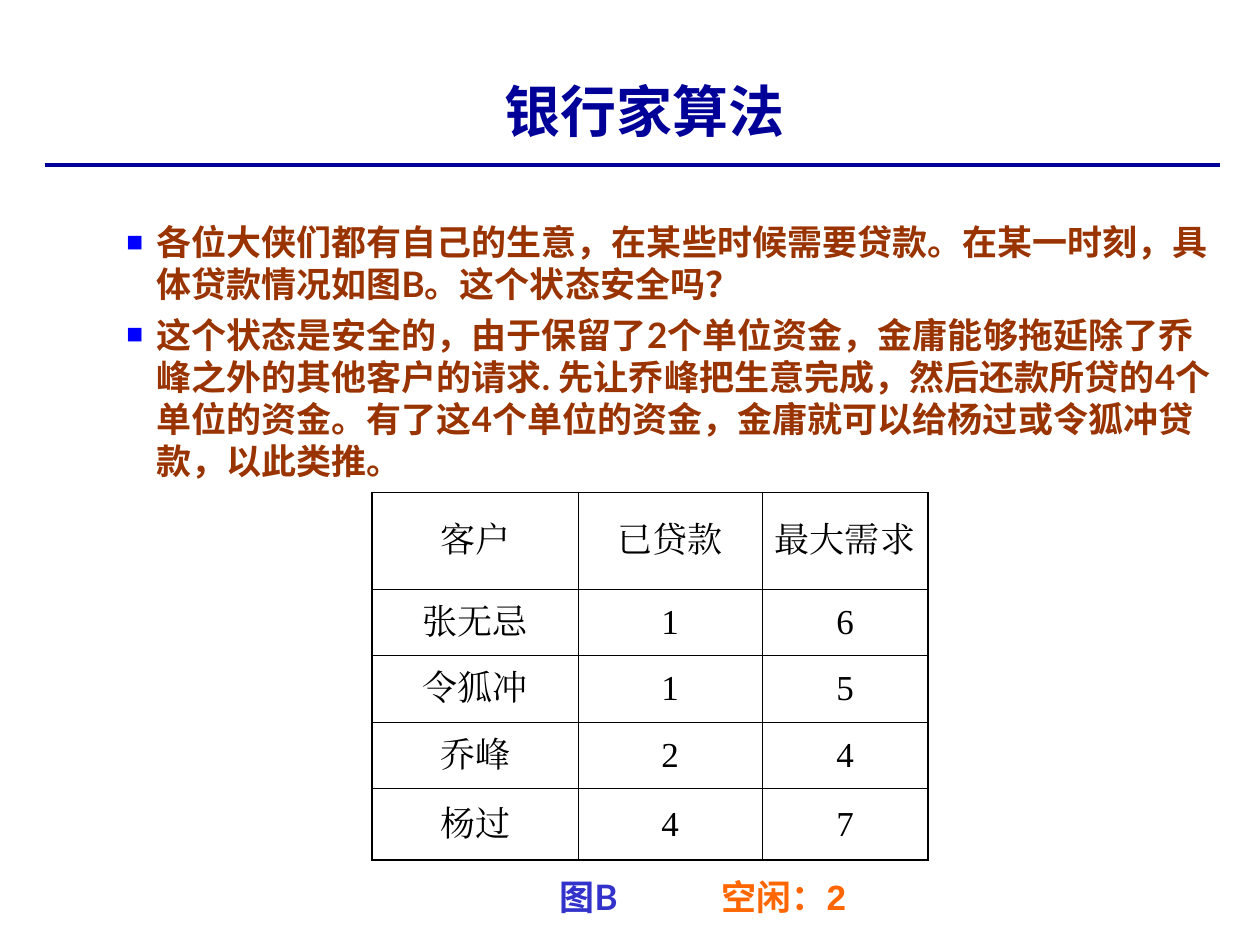
import pptx
import pptx.util
import pptx.dml.color
import pptx.enum.shapes
import pptx.enum.text
import pptx.oxml
import pptx.oxml.ns
from pptx.util import Cm

ALIGN = pptx.enum.text.PP_ALIGN
ANCHOR = pptx.enum.text.MSO_ANCHOR
AUTO = pptx.enum.text.MSO_AUTO_SIZE
NS = 'xmlns:a="http://schemas.openxmlformats.org/drawingml/2006/main"'

TITLE = {"name": "Noto Sans CJK SC", "size": 32, "bold": True, "color": "000099"}
BODY = {"name": "Lato", "size": 20, "bold": True, "color": "993300"}
CELL = {"name": "Times New Roman", "size": 20, "bold": False, "color": "000000"}
FIGURE = {**BODY, "color": "3333CC"}
IDLE = {**BODY, "name": "Arial", "color": "FF6600"}

POINTS = [
    "各位大侠们都有自己的生意，在某些时候需要贷款。在某一时刻，具体贷款情况如图B。这个状态安全吗？",
    "这个状态是安全的，由于保留了2个单位资金，金庸能够拖延除了乔峰之外的其他客户的请求. "
    "先让乔峰把生意完成，然后还款所贷的4个单位的资金。有了这4个单位的资金，"
    "金庸就可以给杨过或令狐冲贷款，以此类推。",
]
LOANS = [
    ["客户", "已贷款", "最大需求"],
    ["张无忌", "1", "6"],
    ["令狐冲", "1", "5"],
    ["乔峰", "2", "4"],
    ["杨过", "4", "7"],
]
COL_WIDTHS = [4.16, 3.7, 3.35]
ROW_HEIGHTS = [1.95, 1.34, 1.34, 1.34, 1.44]


def rgb(value):
    """Return a colour from a hex string."""
    return pptx.dml.color.RGBColor.from_string(value)


def add_xml(parent, body):
    """Append one drawing element, given without its namespace."""
    tag, rest = body[:body.index(" ")], body[body.index(" "):]
    parent.append(pptx.oxml.parse_xml(f"<a:{tag} {NS}{rest}"))


def write(p, text, style, align=ALIGN.LEFT):
    """Write one formatted run in a paragraph."""
    p.alignment = align
    r = p.add_run()
    r.text = text
    values = {**style, "size": pptx.util.Pt(style["size"])}
    color = values.pop("color")
    for key, value in values.items():
        setattr(r.font, key, value)
    r.font.color.rgb = rgb(color)
    add_xml(r.font._element, f'ea typeface="{style["name"]}"/>')


def add_title(s, text):
    """Place and fill the title placeholder."""
    sp = s.shapes.title
    box = {"left": 4.9, "top": 1.32, "width": 16.2, "height": 1.7}
    for key, value in box.items():
        setattr(sp, key, Cm(value))
    sp.text_frame.vertical_anchor = ANCHOR.BOTTOM
    write(sp.text_frame.paragraphs[0], text, TITLE, ALIGN.CENTER)


def add_rule(s, left, right, y):
    """Draw the line below the title."""
    ln = s.shapes.add_connector(
        pptx.enum.shapes.MSO_CONNECTOR.STRAIGHT, Cm(left), Cm(y), Cm(right), Cm(y))
    ln.line.color.rgb = rgb("000099")
    ln.line.width = pptx.util.Pt(2.5)
    add_xml(ln._element.spPr, "effectLst />")


def add_bullets(s, points, box):
    """Add the text box with square bullets."""
    tf = s.shapes.add_textbox(*map(Cm, box)).text_frame
    tf.word_wrap = True
    for i, text in enumerate(points):
        p = tf.add_paragraph() if i else tf.paragraphs[0]
        pPr = p._p.get_or_add_pPr()
        pPr.set("marL", str(Cm(0.6)))
        pPr.set("indent", str(Cm(-0.6)))
        add_xml(pPr, 'buClr ><a:srgbClr val="0000FF"/></a:buClr>')
        add_xml(pPr, 'buSzPct val="80000"/>')
        add_xml(pPr, 'buFont typeface="Arial"/>')
        add_xml(pPr, 'buChar char="■"/>')
        if i:
            p.space_before = pptx.util.Pt(5)
        write(p, text, BODY)


def set_borders(cell, outer):
    """Draw the four sides of a cell, thicker on the table's edge."""
    tcPr = cell._tc.get_or_add_tcPr()
    for side in "LRTB":
        width = pptx.util.Pt(1.08 if outer[side] else 0.45)
        add_xml(tcPr, f'ln{side} w="{width}"><a:solidFill><a:srgbClr val="000000"/>'
                      f'</a:solidFill></a:ln{side}>')


def add_loans(s, rows, left, top):
    """Add the table of loans."""
    n_rows, n_cols = len(rows), len(rows[0])
    table = s.shapes.add_table(
        n_rows, n_cols, Cm(left), Cm(top),
        Cm(sum(COL_WIDTHS)), Cm(sum(ROW_HEIGHTS))).table
    table.first_row = table.horz_banding = False
    for col, width in zip(table.columns, COL_WIDTHS):
        col.width = Cm(width)
    for i, row in enumerate(rows):
        table.rows[i].height = Cm(ROW_HEIGHTS[i])
        for j, text in enumerate(row):
            cell = table.cell(i, j)
            cell.vertical_anchor = ANCHOR.MIDDLE
            set_borders(cell, {"L": j == 0, "R": j == n_cols - 1,
                               "T": i == 0, "B": i == n_rows - 1})
            cell.fill.background()
            write(cell.text_frame.paragraphs[0], text, CELL, ALIGN.CENTER)


def add_caption(s, text, style, box, align, wrap):
    """Add a caption below the table."""
    tf = s.shapes.add_textbox(*map(Cm, box)).text_frame
    tf.word_wrap = wrap
    tf.auto_size = AUTO.SHAPE_TO_FIT_TEXT
    write(tf.paragraphs[0], text, style, align)


def main():
    """Build the slide and save it."""
    prs = pptx.Presentation()
    prs.slide_width, prs.slide_height = Cm(25.4), Cm(19.05)
    s = prs.slides.add_slide(prs.slide_layouts[5])
    add_rule(s, 0.9, 24.6, 3.32)
    add_loans(s, LOANS, 7.5, 9.93)
    add_bullets(s, POINTS, (2.3, 4.32, 22.4, 5.6))
    add_title(s, "银行家算法")
    add_caption(s, "空闲：2", IDLE, (13.5, 17.53, 4.6, 1.11), ALIGN.CENTER, True)
    add_caption(s, "图B", FIGURE, (11.03, 17.53, 1.85, 1.11), ALIGN.LEFT, False)
    prs.save("out.pptx")


if __name__ == "__main__":
    main()
